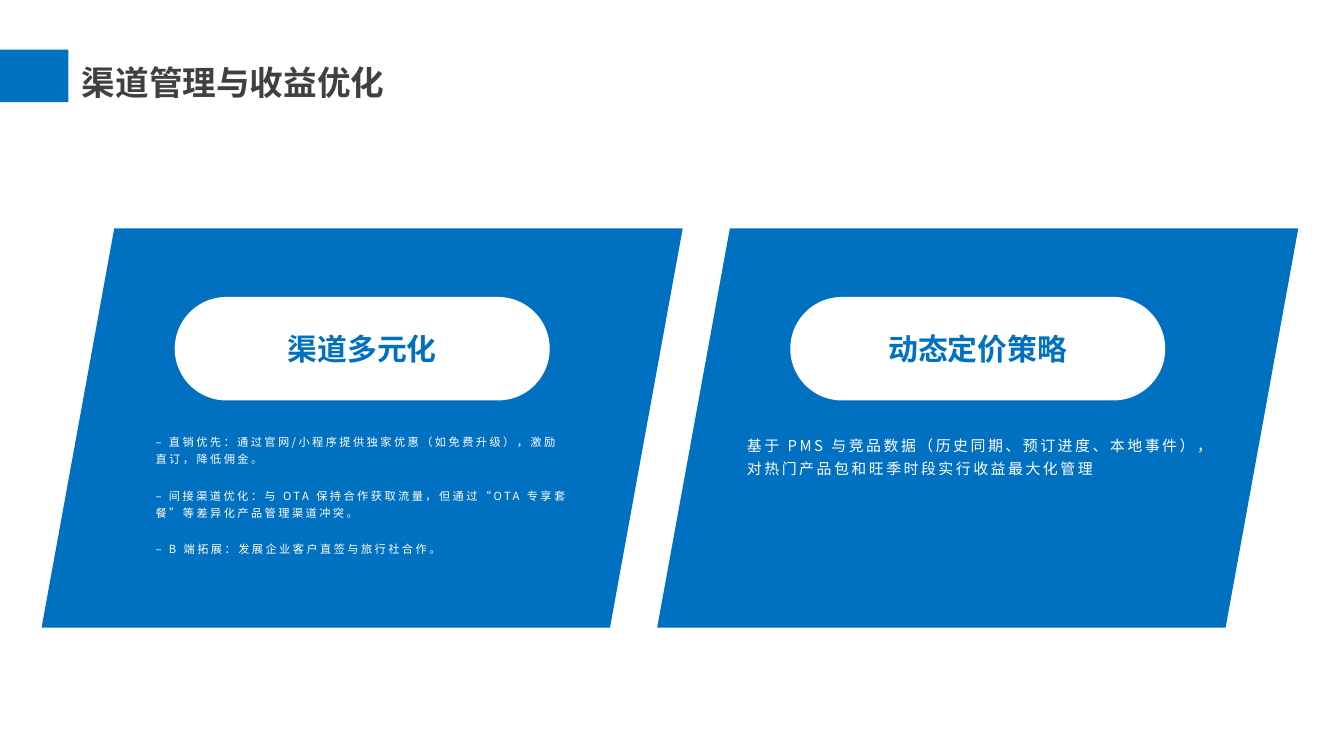
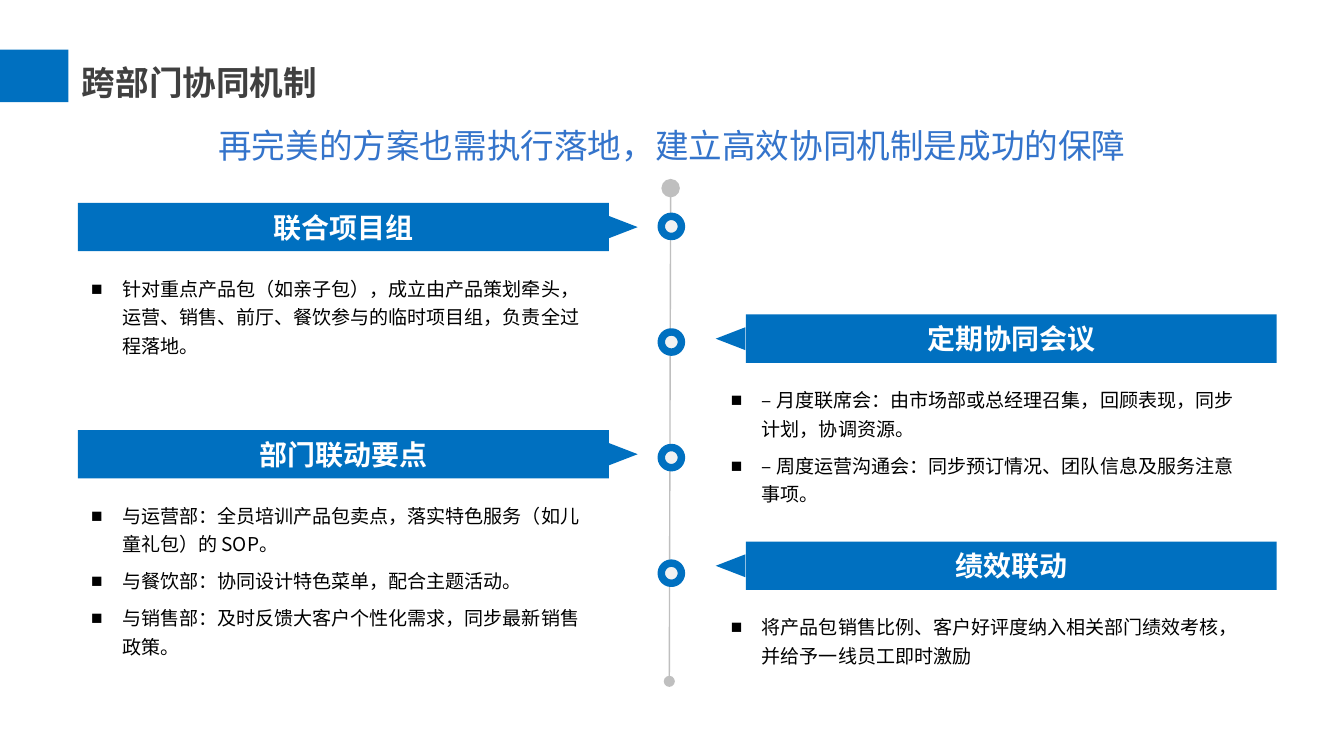
from dataclasses import dataclass

from lxml import etree
from pptx import Presentation
from pptx.dml.color import RGBColor
from pptx.enum.lang import MSO_LANGUAGE_ID
from pptx.enum.shapes import MSO_CONNECTOR, MSO_SHAPE
from pptx.enum.text import MSO_ANCHOR, MSO_AUTO_SIZE, PP_ALIGN
from pptx.oxml.ns import qn
from pptx.util import Inches, Pt

RECT, OVAL = MSO_SHAPE.RECTANGLE, MSO_SHAPE.OVAL
PILL, TRIANGLE = MSO_SHAPE.ROUNDED_RECTANGLE, MSO_SHAPE.ISOSCELES_TRIANGLE
PARALLELOGRAM = MSO_SHAPE.PARALLELOGRAM
STRAIGHT = MSO_CONNECTOR.STRAIGHT
LEFT, CENTER = PP_ALIGN.LEFT, PP_ALIGN.CENTER
TOP, MIDDLE = MSO_ANCHOR.TOP, MSO_ANCHOR.MIDDLE
NO_FIT, GROW = MSO_AUTO_SIZE.NONE, MSO_AUTO_SIZE.SHAPE_TO_FIT_TEXT
CHINESE = MSO_LANGUAGE_ID.SIMPLIFIED_CHINESE
TITLE_ONLY = 5


@dataclass(frozen=True)
class Theme:
    blue: str = "0070C0"
    white: str = "FFFFFF"
    pale: str = "F2F2F2"
    gray: str = "BFBFBF"
    title: str = "404040"
    lead: str = "3474CB"
    black: str = "000000"
    head_font: str = "Arial"
    body_font: str = "Noto Sans CJK SC"
    title_size: float = 18
    pill_size: float = 16
    banner_size: float = 15
    body_size: float = 10.2
    panel_size: float = 8
    panel_small_size: float = 6


T = Theme()

CHANNEL_PANELS = [
    dict(heading="渠道多元化", size=T.panel_small_size, text_left=1.06, text_width=3.27, lines=[
        "– 直销优先：通过官网/小程序提供独家优惠（如免费升级），激励直订，降低佣金。",
        "– 间接渠道优化：与 OTA 保持合作获取流量，但通过“OTA 专享套餐”等差异化产品管理渠道冲突。",
        "– B 端拓展：发展企业客户直签与旅行社合作。"]),
    dict(heading="动态定价策略", size=T.panel_size, text_left=5.46, text_width=3.63, lines=[
        "基于 PMS 与竞品数据（历史同期、预订进度、本地事件），对热门产品包和旺季时段实行收益最大化管理"]),
]

# Heading, height of the text box, bullet lines
MECHANISMS = [
    ("联合项目组", 0.74, [
        "针对重点产品包（如亲子包），成立由产品策划牵头，运营、销售、前厅、餐饮参与的临时项目组，负责全过程落地。"]),
    ("定期协同会议", 1.02, [
        "– 月度联席会：由市场部或总经理召集，回顾表现，同步计划，协调资源。",
        "– 周度运营沟通会：同步预订情况、团队信息及服务注意事项。"]),
    ("部门联动要点", 1.3, [
        "与运营部：全员培训产品包卖点，落实特色服务（如儿童礼包）的 SOP。",
        "与餐饮部：协同设计特色菜单，配合主题活动。",
        "与销售部：及时反馈大客户个性化需求，同步最新销售政策。"]),
    ("绩效联动", 0.53, [
        "将产品包销售比例、客户好评度纳入相关部门绩效考核，并给予一线员工即时激励"]),
]


def rgb(color):
    return RGBColor.from_string(color)


def box(left, top, width, height):
    return [Inches(v) for v in (left, top, width, height)]


def add_bullet(p, char, indent):
    pPr = p._p.get_or_add_pPr()
    pPr.set("marL", str(Inches(indent)))
    pPr.set("indent", str(-Inches(indent)))
    etree.SubElement(pPr, qn("a:buFont"), typeface="Arial")
    etree.SubElement(pPr, qn("a:buChar"), char=char)


def write(sp, lines, *, size, color, font=T.body_font, bold=False, align=LEFT,
          anchor=TOP, wrap=True, fit=NO_FIT, margins=(0.1, 0.05), spacing=None,
          before=0, after=0, tracking=0, bullet=None):
    """Fill a shape with one paragraph for each line; margins are (sides, top and bottom)."""
    tf = sp.text_frame
    tf.word_wrap, tf.auto_size, tf.vertical_anchor = wrap, fit, anchor
    tf.margin_left = tf.margin_right = Inches(margins[0])
    tf.margin_top = tf.margin_bottom = Inches(margins[1])
    for i, line in enumerate(lines):
        p = tf.paragraphs[0] if i == 0 else tf.add_paragraph()
        if bullet:
            add_bullet(p, bullet, 0.23)
        p.alignment = align
        if spacing:
            p.line_spacing = spacing
        p.space_before = Pt(before if i else 0)
        p.space_after = Pt(after)
        r = p.add_run()
        r.text = line
        r.font.name, r.font.size, r.font.bold = font, Pt(size), bold
        r.font.color.rgb = rgb(color)
        r.font.language_id = CHINESE
        rPr = r.font._element
        if tracking:
            rPr.set("spc", str(round(tracking * 100)))
        rPr.find(qn("a:latin")).addnext(
            rPr.makeelement(qn("a:ea"), {"typeface": T.body_font}))


def add_text(s, at, lines, **fmt):
    sp = s.shapes.add_textbox(*box(*at))
    write(sp, lines, **fmt)


def add_block(shapes, kind, at, fill, line=None, line_width=0, adjust=None, rotation=0):
    sp = shapes.add_shape(kind, *box(*at))
    sp.shadow.inherit = False
    sp.fill.solid()
    sp.fill.fore_color.rgb = rgb(fill)
    if line:
        sp.line.color.rgb = rgb(line)
        sp.line.width = Pt(line_width)
    else:
        sp.line.fill.background()
    if adjust is not None:
        sp.adjustments[0] = adjust
    sp.rotation = rotation
    return sp


def add_titled_slide(prs, title):
    s = prs.slides.add_slide(prs.slide_layouts[TITLE_ONLY])
    add_block(s.shapes, RECT, (0, 0.37, 0.51, 0.39), T.blue)
    sp = s.shapes.title
    sp.left, sp.top, sp.width, sp.height = box(0.51, 0.37, 0.25 * len(title) + 0.25, 0.44)
    write(sp, [title], size=T.title_size, color=T.title, font=T.head_font,
          bold=True, wrap=False, fit=GROW, spacing=1.14)
    return s


def add_channel_panel(s, left, heading, size, text_left, text_width, lines):
    add_block(s.shapes, PARALLELOGRAM, (left, 1.7, 4.77, 2.97), T.blue, adjust=0.182)
    pill = add_block(s.shapes, PILL, (left + 0.99, 2.21, 2.79, 0.77), T.white, adjust=0.5)
    write(pill, [heading], size=T.pill_size, color=T.blue, bold=True,
          align=CENTER, anchor=MIDDLE, margins=(0, 0))
    add_text(s, (text_left, 3.16, text_width, 1.26), lines, size=size,
             color=T.white, spacing=1.3, after=10, tracking=1.3)


def add_timeline(s, count):
    cxn = s.shapes.add_connector(STRAIGHT, Inches(4.98), Inches(5.07),
                                 Inches(4.99), Inches(1.4))
    cxn.line.color.rgb = rgb(T.gray)
    cxn.line.width = Pt(0.75)
    ln = cxn.line._get_or_add_ln()
    for end, size in (("headEnd", "med"), ("tailEnd", "lg")):
        etree.SubElement(ln, qn(f"a:{end}"), type="oval", w=size, len=size)
    etree.SubElement(cxn._element.spPr, qn("a:effectLst"))
    for i in range(count):
        add_block(s.shapes, OVAL, (4.92, 1.61 + 0.86 * i, 0.15, 0.15), T.pale,
                  line=T.blue, line_width=4)


def add_mechanism(s, top, on_right, heading, text_height, lines):
    """Add a banner that points at the timeline, with its bullets below."""
    banner_left, arrow_left, text_left, rotation = (
        (5.55, 5.35, 5.34, 270) if on_right else (0.58, 4.55, 0.58, 90))
    group = s.shapes.add_group_shape()
    banner = add_block(group.shapes, RECT, (banner_left, top, 3.95, 0.36), T.blue)
    write(banner, [heading], size=T.banner_size, color=T.white, bold=True,
          align=CENTER, anchor=MIDDLE)
    add_block(group.shapes, TRIANGLE, (arrow_left, top + 0.07, 0.17, 0.22), T.blue,
              rotation=rotation)
    add_text(s, (text_left, top + 0.46, 3.95, text_height), lines, size=T.body_size,
             color=T.black, fit=GROW, spacing=1.25, before=4.5, bullet="■")


def build_channel_slide(prs):
    s = add_titled_slide(prs, "渠道管理与收益优化")
    for i, panel in enumerate(CHANNEL_PANELS):
        add_channel_panel(s, 0.31 + 4.58 * i, **panel)


def build_mechanism_slide(prs):
    s = add_titled_slide(prs, "跨部门协同机制")
    add_timeline(s, len(MECHANISMS))
    for i, (heading, text_height, lines) in enumerate(MECHANISMS):
        row, side = divmod(i, 2)
        add_mechanism(s, 1.51 + 1.69 * row + 0.83 * side, side == 1,
                      heading, text_height, lines)
    add_text(s, (0, 0.88, 10, 0.4), ["再完美的方案也需执行落地，建立高效协同机制是成功的保障"],
             size=T.title_size, color=T.lead, font=T.head_font, align=CENTER, fit=GROW)


def main():
    prs = Presentation()
    prs.slide_width = Inches(10)
    prs.slide_height = prs.slide_width * 9 // 16
    build_channel_slide(prs)
    build_mechanism_slide(prs)
    prs.save("out.pptx")


if __name__ == "__main__":
    main()
